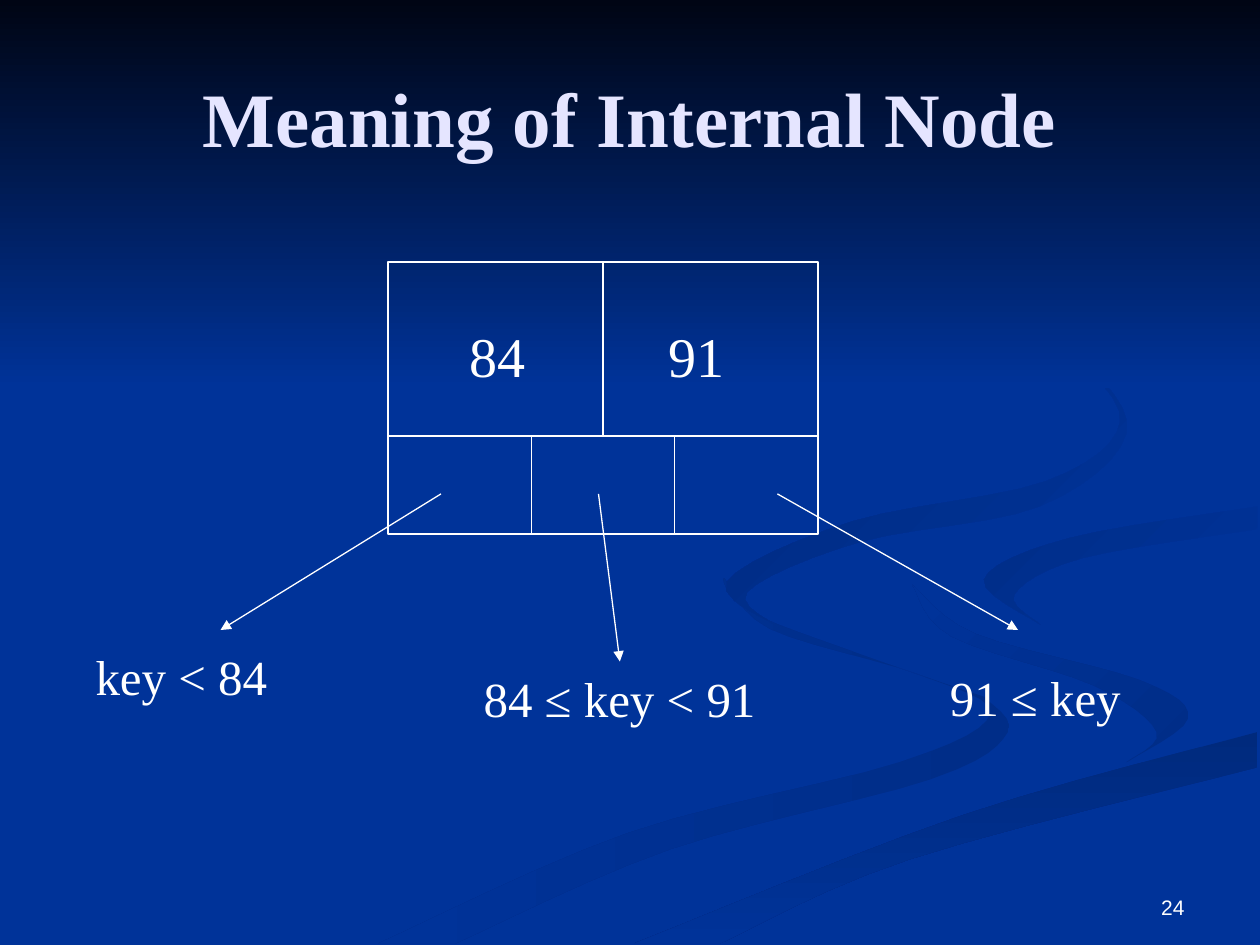
from dataclasses import dataclass

from lxml import etree
from pptx import Presentation
from pptx import util as u
from pptx.dml.color import RGBColor
from pptx.enum import shapes, text
from pptx.oxml.ns import qn


@dataclass(frozen=True)
class Theme:
    background: str = "003399"
    night: str = "000514"
    shade: str = "002D88"
    deep_shade: str = "002A7D"
    ink: str = "FFFFFF"
    title: str = "E5E5FF"
    serif: str = "Times New Roman"
    sans: str = "Arial"
    title_size: int = 44
    key_size: int = 32
    range_size: int = 28
    number_size: int = 12
    outline: float = 1
    rule: float = 0.75


THEME = Theme()

# Each ribbon: gradient colours, clockwise gradient angle, two curved edges.
RIBBONS = [
    ((THEME.shade, THEME.background), 180,
     [(7.81, 5.53), (6.82, 5.19), (5.94, 4.85), (5.75, 4.59), (6.11, 4.99),
      (7.28, 5.35), (7.86, 5.66), (7.14, 6.05), (4.99, 6.61), (3, 7.49)],
     [(3.61, 7.49), (5.32, 6.74), (7.4, 6.18), (8, 5.81), (7.81, 5.53)]),
    ((THEME.shade, THEME.background), 225,
     [(8.94, 6.05), (9.43, 5.7), (9.05, 5.4), (7.74, 5.03), (7.24, 4.64)],
     [(7.24, 4.64), (7.55, 5.05), (8.68, 5.44), (9.18, 5.81), (8.94, 6.05)]),
    ((THEME.deep_shade, THEME.background), 90,
     [(5.71, 7.49), (7.22, 6.82), (9.98, 6.09)],
     [(9.98, 5.81), (7.64, 6.47), (5.03, 7.49)]),
    ((THEME.background, THEME.shade), 225,
     [(9.98, 4.02), (8.49, 4.27), (7.81, 4.6), (8.26, 4.96)],
     [(8.26, 4.96), (8.05, 4.72), (8.59, 4.43), (9.98, 4.2)]),
    ((THEME.background, THEME.deep_shade), 225,
     [(7.62, 2.33), (8.54, 2.83), (8.94, 3.44), (8.25, 4.02), (6.83, 4.3),
      (5.93, 4.7), (6.22, 5)],
     [(6.22, 5), (5.77, 4.62), (6.76, 4.14), (8.3, 3.82), (8.89, 3.35),
      (8.46, 2.79), (7.62, 2.33)]),
]
CURVE_STEPS = 6
NIGHT_SKY = (0, 0, 10, 3.08)

TITLE = ("Meaning of Internal Node", (0.5, 0.3, 9, 1.25))
SLIDE_NUMBER = ("24", (7.17, 6.83, 2.33, 0.52))
NODE = (3.08, 2.08, 3.41, 2.16)
POINTER_ROW_TOP = 3.46
KEYS = [("84", (3.63, 2.5, 0.7, 0.64)), ("91", (5.21, 2.5, 0.7, 0.64))]
# Each child: key range, label box, arrow start, arrow end.
CHILDREN = [
    ("key < 84", (0.66, 5.08, 1.71, 0.57), (3.5, 3.92), (1.75, 5)),
    ("84 ≤ key < 91", (3.74, 5.26, 2.67, 0.57), (4.75, 3.92), (4.92, 5.25)),
    ("91 ≤ key", (7.44, 5.25, 1.81, 0.57), (6.17, 3.92), (8.08, 5)),
]


def rgb(value):
    return RGBColor.from_string(value)


def inches(values):
    return [u.Inches(value) for value in values]


def smooth(points):
    """Return points along a Catmull-Rom curve through the given points."""
    padded = [points[0], *points, points[-1]]
    curve = [points[0]]
    for before, start, end, after in zip(padded, padded[1:], padded[2:], padded[3:]):
        for step in range(1, CURVE_STEPS + 1):
            t = step / CURVE_STEPS
            curve.append(tuple(
                b + t / 2 * (c - a + t * (2 * a - 5 * b + 4 * c - d
                                          + t * (3 * (b - c) + d - a)))
                for a, b, c, d in zip(before, start, end, after)))
    return curve


def paint_gradient(shape, colours, clockwise_angle):
    shape.shadow.inherit = False
    shape.line.fill.background()
    shape.fill.gradient()
    shape.fill.gradient_angle = 360 - clockwise_angle
    for stop, colour in zip(shape.fill.gradient_stops, colours):
        stop.color.rgb = rgb(colour)


def add_ribbon(slide, colours, angle, *edges):
    start, *rest = [inches(point) for edge in edges for point in smooth(edge)]
    builder = slide.shapes.build_freeform(*start)
    builder.add_line_segments(rest, close=True)
    paint_gradient(builder.convert_to_shape(), colours, angle)


def add_label(slide, words, box, size, colour=THEME.ink, font=THEME.serif, bold=False,
              align=text.PP_ALIGN.LEFT, anchor=text.MSO_ANCHOR.TOP, wrap=False):
    frame = slide.shapes.add_textbox(*inches(box)).text_frame
    frame.word_wrap = wrap
    frame.auto_size = text.MSO_AUTO_SIZE.NONE if wrap else text.MSO_AUTO_SIZE.SHAPE_TO_FIT_TEXT
    frame.vertical_anchor = anchor
    paragraph = frame.paragraphs[0]
    paragraph.alignment = align
    run = paragraph.add_run()
    run.text = words
    run.font.name, run.font.size, run.font.bold = font, u.Pt(size), bold
    run.font.color.rgb = rgb(colour)


def add_line(slide, start, end, arrow=False):
    line = slide.shapes.add_connector(
        shapes.MSO_CONNECTOR.STRAIGHT, *inches(start), *inches(end))
    line.line.color.rgb = rgb(THEME.ink)
    line.line.width = u.Pt(THEME.rule)
    if arrow:
        outline = line._element.spPr.find(qn("a:ln"))
        etree.SubElement(outline, qn("a:tailEnd"), type="triangle")
    etree.SubElement(line._element.spPr, qn("a:effectLst"))
    return line


def add_node(slide):
    left, top, width, height = NODE
    right, bottom, middle = left + width, top + height, left + width / 2
    node = slide.shapes.add_shape(shapes.MSO_SHAPE.RECTANGLE, *inches(NODE))
    node.shadow.inherit = False
    node.fill.background()
    node.line.color.rgb = rgb(THEME.ink)
    node.line.width = u.Pt(THEME.outline)
    add_line(slide, (left, POINTER_ROW_TOP), (right, POINTER_ROW_TOP))
    key_divider = add_line(slide, (middle, top), (middle, POINTER_ROW_TOP))
    key_divider.begin_connect(node, 0)
    for index in range(1, len(CHILDREN)):
        x = left + index * width / len(CHILDREN)
        add_line(slide, (x, POINTER_ROW_TOP), (x, bottom))


def main():
    presentation = Presentation()
    presentation.slide_width, presentation.slide_height = inches((10, 7.5))
    slide = presentation.slides.add_slide(presentation.slide_layouts[6])
    slide.background.fill.solid()
    slide.background.fill.fore_color.rgb = rgb(THEME.background)

    for ribbon in RIBBONS:
        add_ribbon(slide, *ribbon)
    sky = slide.shapes.add_shape(shapes.MSO_SHAPE.RECTANGLE, *inches(NIGHT_SKY))
    paint_gradient(sky, (THEME.night, THEME.background), 90)

    add_label(slide, *SLIDE_NUMBER, THEME.number_size, font=THEME.sans,
              align=text.PP_ALIGN.RIGHT, anchor=text.MSO_ANCHOR.BOTTOM, wrap=True)
    add_label(slide, *TITLE, THEME.title_size, THEME.title, bold=True,
              align=text.PP_ALIGN.CENTER, anchor=text.MSO_ANCHOR.MIDDLE, wrap=True)
    add_node(slide)
    for key, box in KEYS:
        add_label(slide, key, box, THEME.key_size)
    for key_range, box, start, end in CHILDREN:
        add_line(slide, start, end, arrow=True)
        add_label(slide, key_range, box, THEME.range_size)
    presentation.save("out.pptx")


if __name__ == "__main__":
    main()
